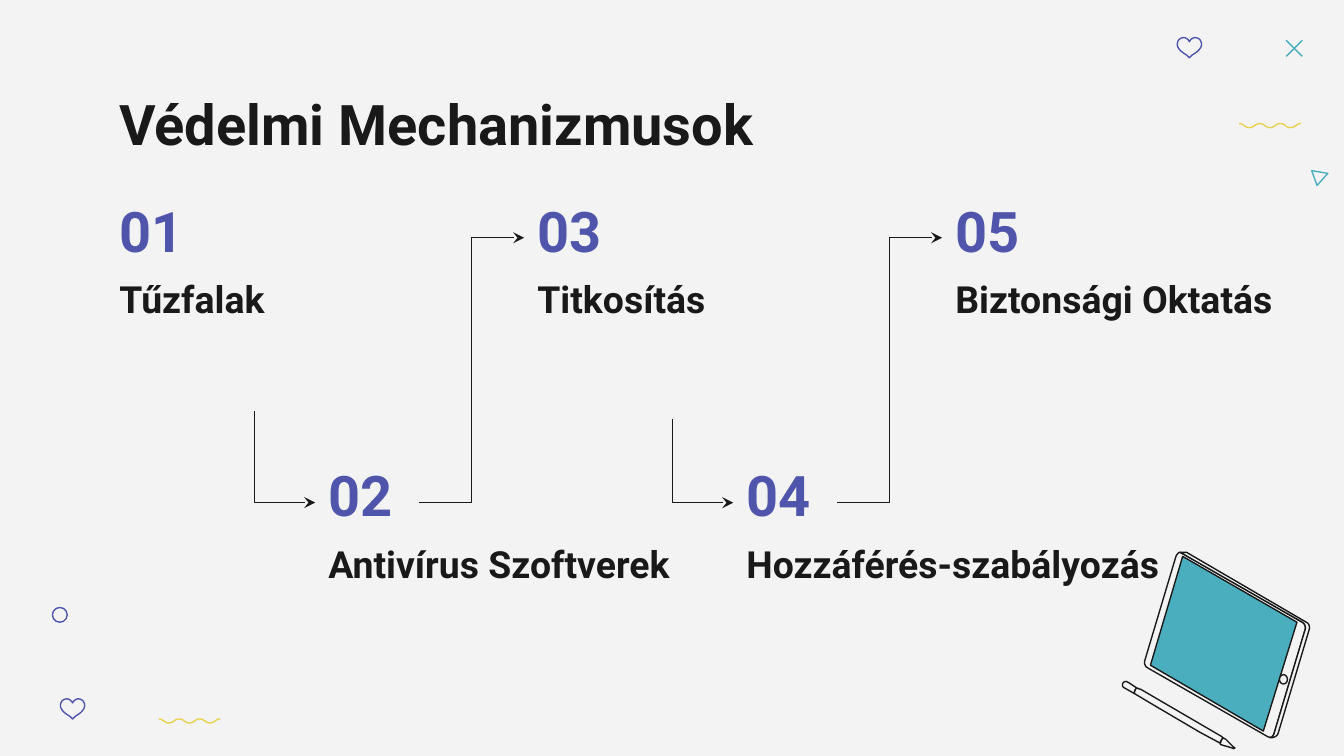
from lxml import etree
from pptx import Presentation
from pptx.dml.color import RGBColor
from pptx.enum.shapes import MSO_CONNECTOR, MSO_SHAPE
from pptx.enum.text import MSO_ANCHOR
from pptx.oxml.ns import qn
from pptx.util import Inches, Pt

ELBOW = MSO_CONNECTOR.ELBOW
STRAIGHT = MSO_CONNECTOR.STRAIGHT
OVAL = MSO_SHAPE.OVAL
TOP = MSO_ANCHOR.TOP
BOTTOM = MSO_ANCHOR.BOTTOM
PAPER = RGBColor(0xF3, 0xF3, 0xF3)
INK = RGBColor(0x19, 0x19, 0x19)
BLUE = RGBColor(0x4F, 0x55, 0xAB)
TEAL = RGBColor(0x4A, 0xAE, 0xBF)
GOLD = RGBColor(0xE8, 0xD2, 0x4F)

STEPS = [("Tűzfalak", 2.2), ("Antivírus Szoftverek", 3.16),
         ("Titkosítás", 2.2), ("Hozzáférés-szabályozás", 3.6),
         ("Biztonsági Oktatás", 2.85)]
ROWS = (1.47, 3.44)
DROPS = {1: 3.06, 3: 3.12}

HEART = [(0.09, 0.15), (0.07, 0.13), (0, 0.09, 0, 0.06, 0, 0.05),
         (0, 0.02, 0.02, 0, 0.05, 0), (0.06, 0, 0.08, 0.01, 0.09, 0.03),
         (0.1, 0.01, 0.12, 0, 0.13, 0), (0.16, 0, 0.18, 0.02, 0.18, 0.05),
         (0.18, 0.06, 0.18, 0.09, 0.11, 0.13)]
KITE = [(9.76, 1.27), (9.8, 1.38), (9.88, 1.29)]
FRAME = [(8.78, 4.11), (8.77, 4.11, 8.76, 4.12, 8.75, 4.14), (8.52, 4.91),
         (8.51, 4.93, 8.52, 4.96, 8.54, 4.97), (9.43, 5.48),
         (9.45, 5.49, 9.47, 5.49, 9.48, 5.46), (9.71, 4.69),
         (9.72, 4.67, 9.71, 4.64, 9.69, 4.63), (8.8, 4.12)]
SCREEN = [(8.8, 4.14), (8.56, 4.95), (9.4, 5.44), (9.65, 4.63)]
EDGE = [(8.82, 4.11), (8.78, 4.11), (8.8, 4.12), (9.69, 4.63),
        (9.71, 4.64, 9.72, 4.67, 9.71, 4.69), (9.48, 5.46),
        (9.47, 5.48, 9.46, 5.49, 9.45, 5.49),
        (9.48, 5.49, 9.5, 5.48, 9.51, 5.46), (9.74, 4.69),
        (9.75, 4.66, 9.74, 4.64, 9.72, 4.63), (8.83, 4.11)]
TIP = [(9.1, 5.49), (9.12, 5.5), (9.18, 5.56),
       (9.19, 5.56, 9.19, 5.57, 9.18, 5.57), (9.15, 5.56), (9.08, 5.54),
       (9.08, 5.52, 9.09, 5.5, 9.1, 5.49)]
SHAFT = [(8.46, 5.12), (8.49, 5.13), (9.09, 5.48), (9.1, 5.49),
         (9.09, 5.5, 9.08, 5.52, 9.08, 5.53), (8.93, 5.45), (8.54, 5.22),
         (8.44, 5.16), (8.44, 5.14, 8.45, 5.12, 8.46, 5.12)]
CAP = [(8.38, 5.07), (8.4, 5.08), (8.46, 5.12),
       (8.45, 5.12, 8.44, 5.14, 8.44, 5.16), (8.37, 5.12),
       (8.34, 5.11, 8.35, 5.07, 8.38, 5.07)]


def trace(path):
    points = [path[0]]
    for part in path[1:]:
        if len(part) == 2:
            points.append(part)
            continue
        ends = [points[-1], part[:2], part[2:4], part[4:]]
        for step in range(1, 9):
            t = step / 8
            parts = ((1 - t) ** 3, 3 * t * (1 - t) ** 2,
                     3 * t * t * (1 - t), t ** 3)
            points.append(tuple(sum(k * end[axis] for k, end in zip(parts, ends))
                                for axis in (0, 1)))
    return [(Inches(x), Inches(y)) for x, y in points]


class Page:
    font = "Roboto"
    weight = Pt(0.75)
    inset = Inches(0.1)

    def __init__(self, slide):
        self.slide = slide
        self.shapes = slide.shapes
        slide.background.fill.solid()
        slide.background.fill.fore_color.rgb = PAPER

    def text(self, words, x, y, w, h, size, color=INK, anchor=BOTTOM, space=1.0):
        frame = self.shapes.add_textbox(
            Inches(x), Inches(y), Inches(w), Inches(h)).text_frame
        frame.word_wrap = True
        frame.vertical_anchor = anchor
        frame.margin_left = frame.margin_right = self.inset
        frame.margin_top = frame.margin_bottom = self.inset
        line = frame.paragraphs[0]
        line.text = words
        line.line_spacing = space
        line.font.name = self.font
        line.font.size = Pt(size)
        line.font.bold = True
        line.font.color.rgb = color

    def paint(self, shape, color, fill):
        shape.shadow.inherit = False
        shape.line.color.rgb = color
        shape.line.width = self.weight
        if fill is None:
            shape.fill.background()
        else:
            shape.fill.solid()
            shape.fill.fore_color.rgb = fill

    def outline(self, path, color, fill=None, close=True):
        points = trace(path)
        form = self.shapes.build_freeform(*points[0])
        form.add_line_segments(points[1:], close=close)
        self.paint(form.convert_to_shape(), color, fill)

    def oval(self, x, y, w, h, color, fill=None):
        shape = self.shapes.add_shape(
            OVAL, Inches(x), Inches(y), Inches(w), Inches(h))
        self.paint(shape, color, fill)

    def heart(self, x, y):
        self.outline([tuple(v + (x, y)[i % 2] for i, v in enumerate(part))
                      for part in HEART], BLUE)

    def wave(self, x, y):
        half, rise = 0.46 / 6, 0.03
        path = [(x, y)]
        for i in range(6):
            left = x + i * half
            mid = left + half / 2
            start, end = (y, y + rise) if i % 2 == 0 else (y + rise, y)
            path.append((mid, start, mid, end, left + half, end))
        self.outline(path, GOLD, close=False)

    def link(self, x1, y1, x2, y2, color=INK, kind=STRAIGHT):
        link = self.shapes.add_connector(
            kind, Inches(x1), Inches(y1), Inches(x2), Inches(y2))
        link.line.color.rgb = color
        link.line.width = self.weight
        etree.SubElement(link._element.spPr, qn("a:effectLst"))
        return link

    def arrow(self, x1, y1, x2, y2):
        link = self.link(x1, y1, x2, y2, kind=ELBOW)
        etree.SubElement(link.line._get_or_add_ln(), qn("a:tailEnd"), type="stealth")
        return link

    def drop(self, x1, y1, x2, y2):
        x, y = (x1 + x2) / 2, (y1 + y2) / 2
        w, h = (y2 - y1) / 2, (x2 - x1) / 2
        props = self.arrow(x + w, y - h, x - w, y + h)._element.spPr
        props.find(qn("a:xfrm")).set("rot", "16200000")
        props.find(qn("a:prstGeom")).set("prst", "bentConnector2")


def main():
    deck = Presentation()
    deck.slide_width = Inches(10)
    deck.slide_height = deck.slide_width * 9 // 16
    page = Page(deck.slides.add_slide(deck.slide_layouts[6]))

    page.oval(0.39, 4.52, 0.11, 0.11, BLUE)
    for x, y in ((0.45, 5.2), (8.76, 0.28)):
        page.heart(x, y)
    for x, y in ((1.18, 5.35), (9.22, 0.92)):
        page.wave(x, y)
    page.link(9.57, 0.3, 9.69, 0.42, TEAL)
    page.link(9.69, 0.3, 9.57, 0.42, TEAL)
    page.outline(KITE, TEAL)

    page.text("Védelmi Mechanizmusok", 0.79, 0.57, 8.43, 0.63, 30, anchor=TOP)
    for i, (name, width) in enumerate(STEPS):
        x, y = 0.79 + i * 3.11 / 2, ROWS[i % 2]
        page.text(name, x, y + 0.52, width, 0.5, 20, space=1.15)
        page.text(f"{i + 1:02}", x, y, 0.77, 0.59, 30, BLUE)
        if i in DROPS:
            page.drop(x - 0.45, DROPS[i], x, y + 0.3)
        elif i:
            page.arrow(x - 0.78, ROWS[1] + 0.3, x, y + 0.3)

    page.outline(FRAME, INK, PAPER)
    page.outline(SCREEN, INK, TEAL)
    page.oval(9.52, 5.02, 0.06, 0.07, INK, PAPER)
    for path in (EDGE, TIP, SHAFT, CAP):
        page.outline(path, INK, PAPER)
    deck.save("out.pptx")


if __name__ == "__main__":
    main()
